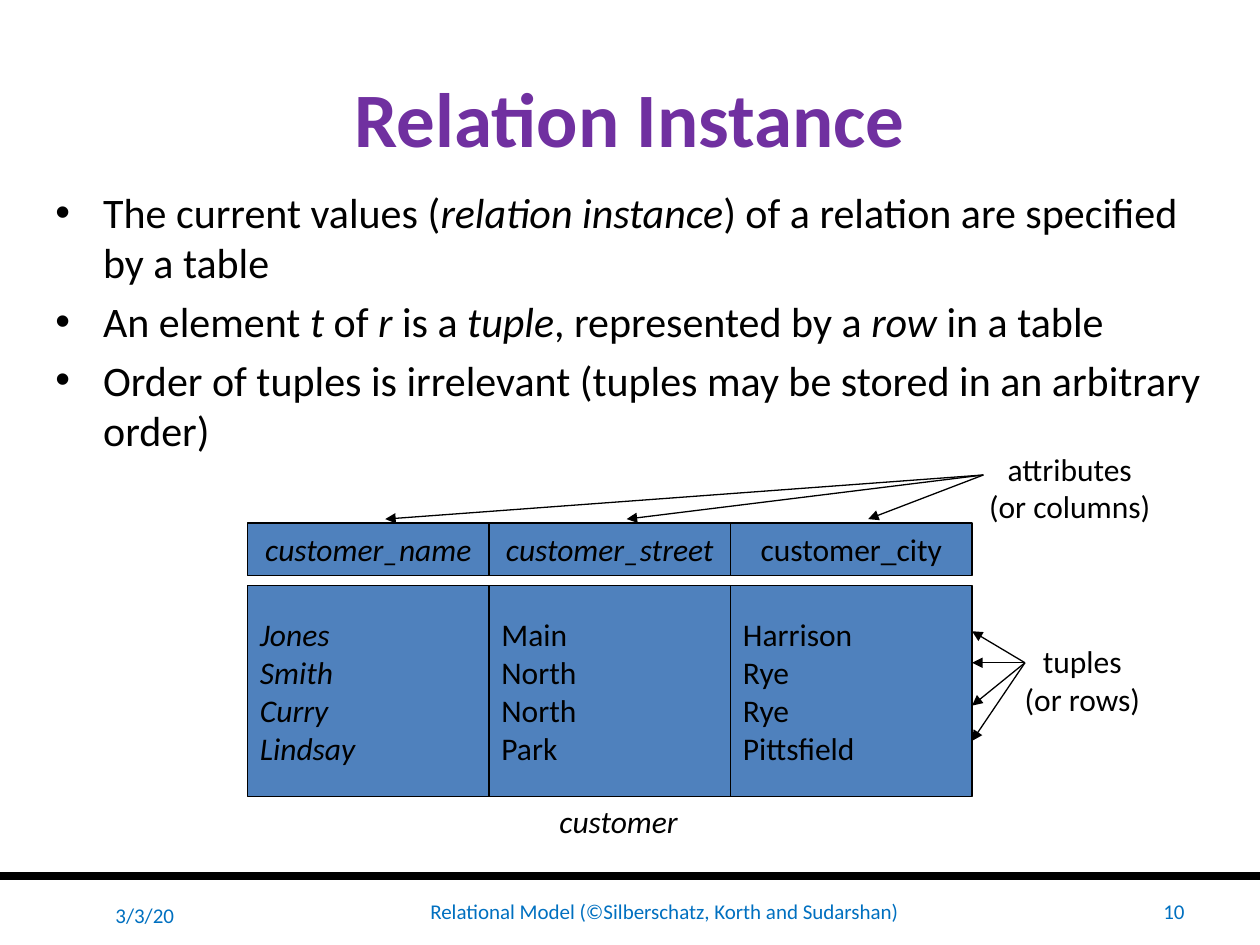
import collections

import pptx
import pptx.dml.color
import pptx.enum.shapes
import pptx.enum.text
import pptx.oxml
import pptx.oxml.ns
import pptx.util

BLACK = pptx.dml.color.RGBColor(0x00, 0x00, 0x00)
PURPLE = pptx.dml.color.RGBColor(0x70, 0x30, 0xA0)
FOOTER_BLUE = pptx.dml.color.RGBColor(0x00, 0x70, 0xC0)
CELL_BLUE = pptx.dml.color.RGBColor(0x4F, 0x81, 0xBD)

FONT = "Calibri"
COLUMNS, ROWS = 100, 75  # slide grid of square cells
UNIT = pptx.util.Inches(0.1)

ALIGN = pptx.enum.text.PP_ALIGN
ANCHOR = pptx.enum.text.MSO_ANCHOR
Box = collections.namedtuple("Box", "left top width height")

POINTS = [
    "The current values (*relation instance*) of a relation are specified by a table",
    "An element *t* of *r* is a *tuple*, represented by a *row *in a table",
    "Order of tuples is irrelevant (tuples may be stored in an arbitrary order)",
]
CUSTOMER = [
    ("*customer_name*", ["*Jones*", "*Smith*", "*Curry*", "*Lindsay*"]),
    ("*customer_street*", ["Main", "North", "North", "Park"]),
    ("customer_city", ["Harrison", "Rye", "Rye", "Pittsfield"]),
]


def grid(*lengths):
    return [round(length * UNIT) for length in lengths]


def add_marked_text(paragraph, text, size, color, bold=False):
    """Add runs to a paragraph; parts between asterisks are italic."""
    for index, part in enumerate(text.split("*")):
        if part:
            span = paragraph.add_run()
            span.text = part
            span.font.name = FONT
            span.font.size = pptx.util.Pt(size)
            span.font.color.rgb = color
            span.font.bold = bold
            span.font.italic = index % 2 == 1


def write(shape, lines, size=18, color=BLACK, align=ALIGN.LEFT,
          anchor=ANCHOR.MIDDLE, wrap=True, bold=False):
    frame = shape.text_frame
    frame.word_wrap = wrap
    frame.vertical_anchor = anchor
    for index, line in enumerate(lines):
        paragraph = frame.paragraphs[0] if index == 0 else frame.add_paragraph()
        paragraph.alignment = align
        add_marked_text(paragraph, line, size, color, bold)
    return frame


def add_text(page, box, lines, **style):
    return write(page.shapes.add_textbox(*grid(*box)), lines, **style)


def add_line(page, start, end, width=0.75, arrow=False):
    line = page.shapes.add_connector(
        pptx.enum.shapes.MSO_CONNECTOR.STRAIGHT, *grid(*start, *end))
    line.line.color.rgb = BLACK
    line.line.width = pptx.util.Pt(width)
    properties = line._element.spPr
    if arrow:
        head = pptx.oxml.ns.qn("a:tailEnd")
        line.line._get_or_add_ln().append(
            properties.makeelement(head, {"type": "triangle"}))
    properties.append(properties.makeelement(pptx.oxml.ns.qn("a:effectLst"), {}))


def add_cell(page, box, lines, align):
    cell = page.shapes.add_shape(
        pptx.enum.shapes.MSO_SHAPE.RECTANGLE, *grid(*box))
    cell.shadow.inherit = False
    cell.fill.solid()
    cell.fill.fore_color.rgb = CELL_BLUE
    cell.line.color.rgb = BLACK
    cell.line.width = pptx.util.Pt(0.75)
    write(cell, lines, align=align, wrap=False)


def add_bullets(page, box, points):
    size = 24
    indent = pptx.util.Inches(0.38)
    frame = add_text(page, box, points, size=size, anchor=ANCHOR.TOP)
    for paragraph in frame.paragraphs:
        paragraph.space_before = pptx.util.Pt(0.2 * size)
        properties = paragraph._p.get_or_add_pPr()
        properties.set("marL", str(indent))
        properties.set("indent", str(-indent))
        for tag, values in (("a:buFont", {"typeface": "Arial"}),
                            ("a:buChar", {"char": "•"})):
            properties.append(
                properties.makeelement(pptx.oxml.ns.qn(tag), values))


def add_relation(page, box):
    """Draw the customer relation with its attribute and tuple labels."""
    header_height, body_offset = 4.2, 5
    column_width = box.width / len(CUSTOMER)
    body_top = box.top + body_offset
    right = box.left + box.width
    fork = (right + 0.9, box.top - 3.8)
    for index, (attribute, values) in enumerate(CUSTOMER):
        left = box.left + index * column_width
        add_cell(page, Box(left, body_top, column_width, box.height - body_offset),
                 values, ALIGN.LEFT)
        add_cell(page, Box(left, box.top, column_width, header_height),
                 [attribute], ALIGN.CENTER)
        add_line(page, fork, (left + 0.57 * column_width, box.top - 0.3), arrow=True)
    for offset in (3.6, 6.1, 9.5, 12.3):
        add_line(page, (right + 4.2, body_top + 6.1),
                 (right, body_top + offset), arrow=True)

    label = {"align": ALIGN.CENTER, "wrap": False, "anchor": ANCHOR.TOP}
    add_text(page, Box(right - 0.2, box.top - 6.3, 15.9, 7),
             ["attributes", "(or columns)"], **label)
    add_text(page, Box(right + 2.8, body_top + 4, 11.9, 7),
             ["tuples", "(or rows)"], **label)
    add_text(page, Box(box.left + 23.3, box.top + box.height, 12.3, 4),
             ["*customer*"], **label)


def add_footer(page, box):
    add_line(page, (box.left, box.top), (box.left + box.width, box.top), width=4.5)
    top = box.top + 0.8
    style = {"size": 12, "color": FOOTER_BLUE}
    add_text(page, Box(3.9, top, 10.9, 4.7), ["3/3/20"], align=ALIGN.RIGHT, **style)
    add_text(page, Box(16.4, top, 72.7, 4),
             ["Relational Model (©Silberschatz, Korth and Sudarshan)"],
             align=ALIGN.CENTER, **style)
    add_text(page, Box(90.6, top, 4.4, 4), ["10"], align=ALIGN.RIGHT, **style)


def main():
    deck = pptx.Presentation()
    deck.slide_width, deck.slide_height = grid(COLUMNS, ROWS)
    page = deck.slides.add_slide(deck.slide_layouts[6])
    add_text(page, Box(5, 3, 90, 12.5), ["Relation Instance"],
             size=44, color=PURPLE, align=ALIGN.CENTER, bold=True)
    add_bullets(page, Box(3.4, 14.3, 93.5, 21.6), POINTS)
    add_relation(page, Box(19.65, 41.5, 57.5, 21.7))
    add_footer(page, Box(0, 69.5, COLUMNS, 5.5))
    deck.save("out.pptx")


if __name__ == "__main__":
    main()
